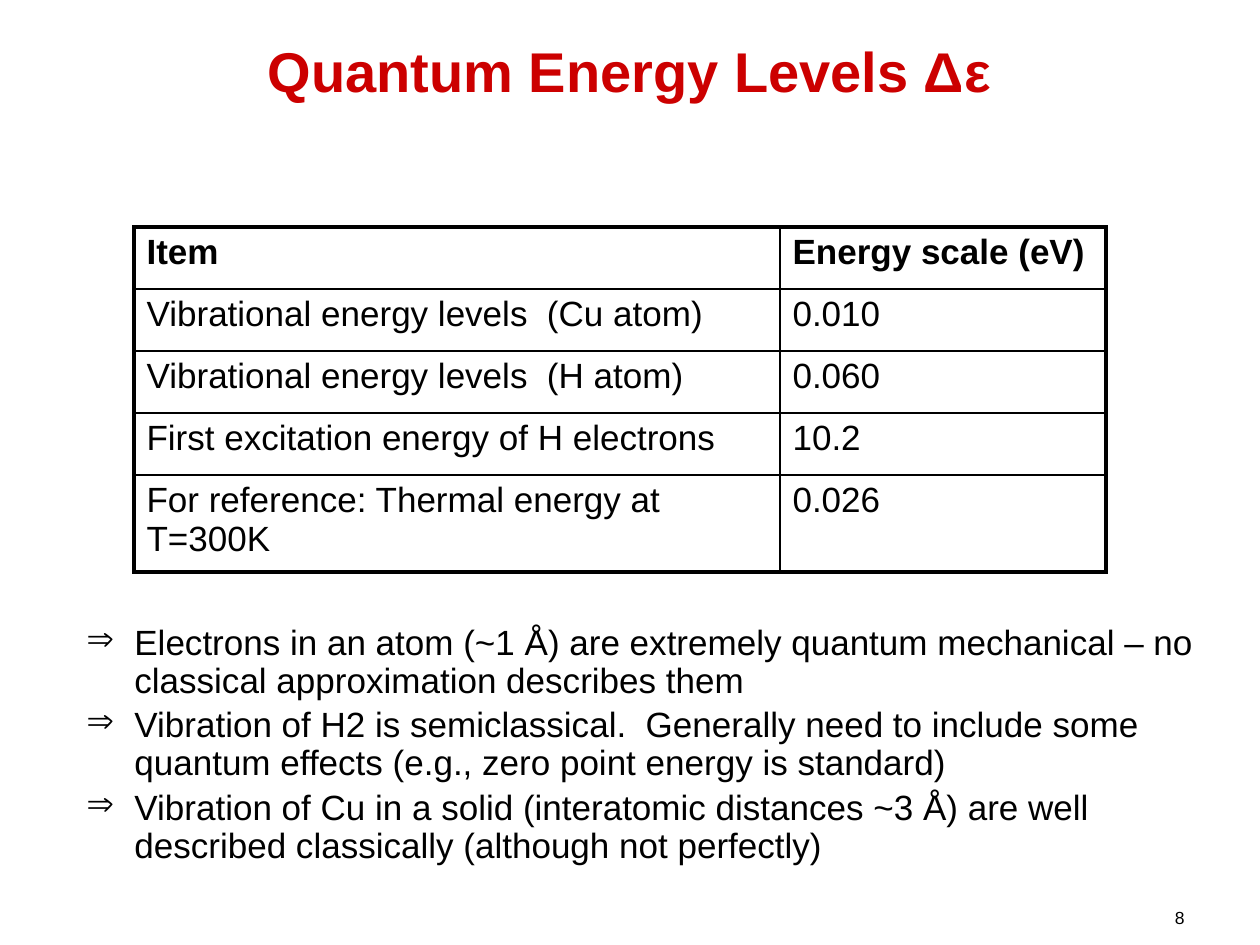
from lxml.etree import SubElement
from pptx import Presentation
from pptx.dml.color import RGBColor
from pptx.enum.text import MSO_ANCHOR, PP_ALIGN
from pptx.oxml import parse_xml
from pptx.oxml.ns import nsdecls, qn
from pptx.util import Emu, Pt

PX = 914400 / 126
FONT = "Arial"
RED = RGBColor(0xCC, 0x00, 0x00)
BLACK = RGBColor(0x00, 0x00, 0x00)

TITLE = "Quantum Energy Levels Δε"
ENERGIES = [
    ("Item", "Energy scale (eV)"),
    ("Vibrational energy levels  (Cu atom)", "0.010"),
    ("Vibrational energy levels  (H atom)", "0.060"),
    ("First excitation energy of H electrons", "10.2"),
    ("For reference: Thermal energy at T=300K", "0.026"),
]
COLUMN_WIDTHS = [646, 326]
ROW_HEIGHTS = [62, 62, 62, 62, 97]
CONCLUSIONS = [
    "Electrons in an atom (~1 Å) are extremely quantum mechanical – no classical "
    "approximation describes them",
    "Vibration of H2 is semiclassical.  Generally need to include some quantum "
    "effects (e.g., zero point energy is standard)",
    "Vibration of Cu in a solid (interatomic distances ~3 Å) are well described "
    "classically (although not perfectly)",
]


def px(length):
    return Emu(round(length * PX))


def write(para, text, size=20, color=BLACK, bold=False, align=PP_ALIGN.LEFT, before=0):
    """Put formatted text into a paragraph."""
    para.alignment = align
    para.space_before = Pt(before)
    span = para.add_run()
    span.text = text
    span.font.name = FONT
    span.font.size = Pt(size)
    span.font.bold = bold
    span.font.color.rgb = color


def add_text_box(page, box):
    frame = page.shapes.add_textbox(*map(px, box)).text_frame
    frame.word_wrap = True
    return frame


def set_borders(cell, widths):
    """Draw the cell edges; widths are points for left, right, top, bottom."""
    properties = cell._tc.get_or_add_tcPr()
    for index, (side, width) in enumerate(zip("LRTB", widths)):
        properties.insert(index, parse_xml(
            f'<a:ln{side} {nsdecls("a")} w="{Pt(width)}"><a:solidFill>'
            f'<a:srgbClr val="{BLACK}"/></a:solidFill></a:ln{side}>'))


def add_bullet(para, mark, indent):
    properties = para._p.get_or_add_pPr()
    properties.set("marL", str(px(indent)))
    properties.set("indent", str(-px(indent)))
    SubElement(properties, qn("a:buFont"), typeface="Symbol")
    SubElement(properties, qn("a:buChar"), char=mark)


def place_title(page, box):
    title = page.shapes.title
    title.left, title.top, title.width, title.height = map(px, box)
    frame = title.text_frame
    frame.word_wrap = True
    frame.vertical_anchor = MSO_ANCHOR.MIDDLE
    write(frame.paragraphs[0], TITLE, size=32, color=RED, bold=True,
          align=PP_ALIGN.CENTER)


def place_energy_table(page, box):
    last_row, last_column = len(ROW_HEIGHTS) - 1, len(COLUMN_WIDTHS) - 1
    table = page.shapes.add_table(last_row + 1, last_column + 1, *map(px, box)).table
    table.first_row = table.horz_banding = False
    for column, width in zip(table.columns, COLUMN_WIDTHS):
        column.width = px(width)
    for row, height in zip(table.rows, ROW_HEIGHTS):
        row.height = px(height)

    # Thick outer frame, thin inner grid
    for r, texts in enumerate(ENERGIES):
        for c, text in enumerate(texts):
            cell = table.cell(r, c)
            cell.fill.background()
            outer = (c == 0, c == last_column, r == 0, r == last_row)
            set_borders(cell, [2.25 if edge else 1 for edge in outer])
            write(cell.text_frame.paragraphs[0], text, bold=r == 0, before=4)


def place_conclusions(page, box):
    frame = add_text_box(page, box)
    for index, text in enumerate(CONCLUSIONS):
        para = frame.add_paragraph() if index else frame.paragraphs[0]
        write(para, text, before=4)
        para.line_spacing = 0.9
        add_bullet(para, "⇒", indent=48)


def place_page_number(page, box):
    frame = add_text_box(page, box)
    frame.margin_top = px(28)
    frame.margin_bottom = 0
    write(frame.paragraphs[0], "8", size=10, align=PP_ALIGN.RIGHT)


def main():
    deck = Presentation()
    deck.slide_width, deck.slide_height = px(1260), px(945)
    page = deck.slides.add_slide(deck.slide_layouts[5])
    place_page_number(page, (903, 882, 294, 44))
    place_title(page, (0, 0, 1260, 141))
    place_energy_table(page, (134, 227, sum(COLUMN_WIDTHS), sum(ROW_HEIGHTS)))
    place_conclusions(page, (74, 619, 1134, 280))
    deck.save("out.pptx")


if __name__ == "__main__":
    main()
